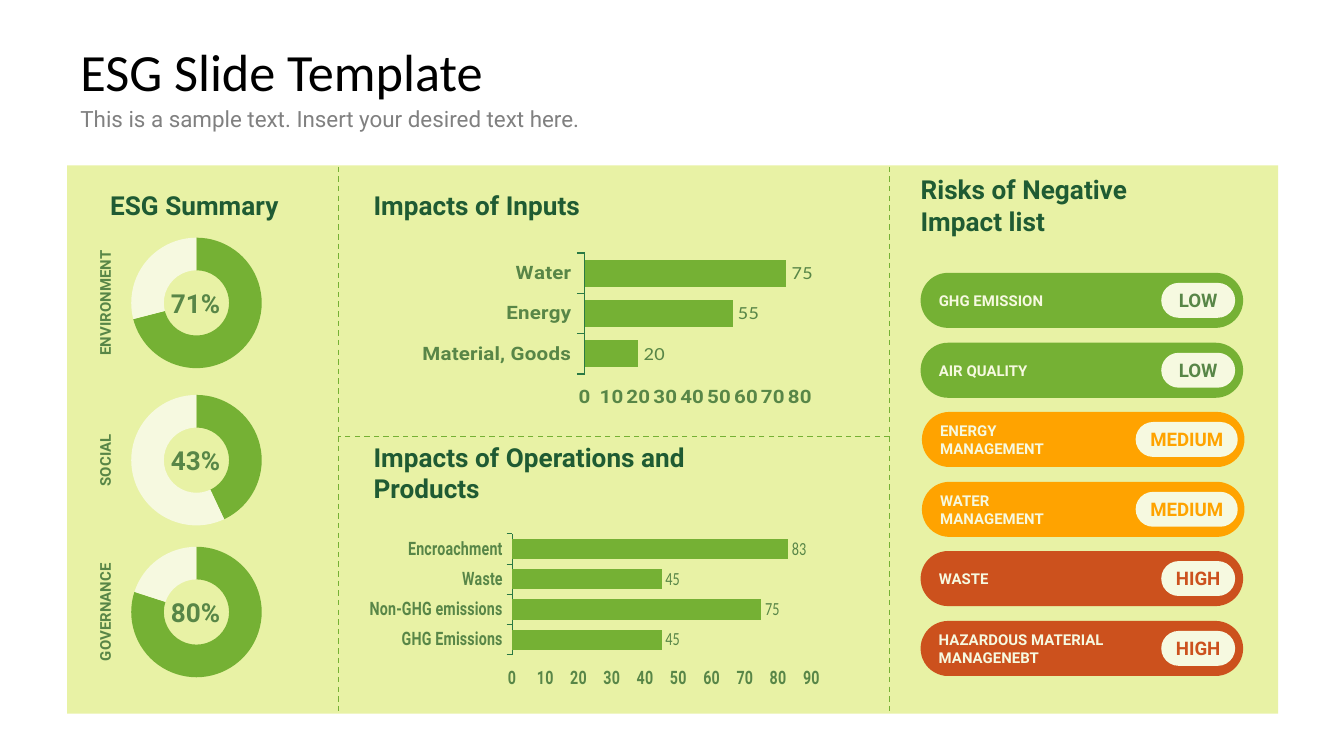
import dataclasses

import lxml.etree
import pptx
import pptx.chart.data
import pptx.dml.color
import pptx.enum.chart
import pptx.enum.dml
import pptx.enum.shapes
import pptx.enum.text
import pptx.oxml
import pptx.oxml.ns
import pptx.util

RGB = pptx.dml.color.RGBColor
SHAPE = pptx.enum.shapes.MSO_SHAPE
ALIGN = pptx.enum.text.PP_ALIGN
ANCHOR = pptx.enum.text.MSO_ANCHOR
KIND = pptx.enum.chart.XL_CHART_TYPE
TICK = pptx.enum.chart.XL_TICK_MARK
qn = pptx.oxml.ns.qn

BLACK = RGB(0x00, 0x00, 0x00)
GRAY = RGB(0x80, 0x80, 0x80)
LIME = RGB(0xE8, 0xF2, 0xA5)
CREAM = RGB(0xF6, 0xF9, 0xE0)
GREEN = RGB(0x75, 0xB1, 0x34)
FOREST = RGB(0x1F, 0x5B, 0x33)
MOSS = RGB(0x58, 0x86, 0x47)
PINE = RGB(0x2A, 0x79, 0x44)
AMBER = RGB(0xFF, 0xA3, 0x00)
RUST = RGB(0xCC, 0x51, 0x1D)

SCALE = 914400 // 200
Box = tuple[int, int, int, int]


@dataclasses.dataclass
class Level:
    name: str
    fill: RGB
    ink: RGB
    left: int
    pill: int
    width: int


@dataclasses.dataclass
class Risk:
    label: str
    level: Level
    width: int = 216


@dataclasses.dataclass
class Gauge:
    name: str
    value: int
    top: int


@dataclasses.dataclass
class Bars:
    box: Box
    names: list[str]
    values: list[int]
    peak: int
    plot: tuple[float, float, float, float]


LOW = Level("LOW", GREEN, MOSS, 1370, 1728, 110)
MEDIUM = Level("MEDIUM", AMBER, AMBER, 1372, 1690, 152)
HIGH = Level("HIGH", RUST, RUST, 1370, 1728, 110)

RISKS = [
    Risk("GHG EMISSION", LOW),
    Risk("AIR QUALITY", LOW),
    Risk("ENERGY MANAGEMENT", MEDIUM),
    Risk("WATER MANAGEMENT", MEDIUM),
    Risk("WASTE", HIGH),
    Risk("HAZARDOUS MATERIAL MANAGENEBT", HIGH, 266),
]
GAUGES = [
    Gauge("ENVIRONMENT", 71, 326),
    Gauge("SOCIAL", 43, 560),
    Gauge("GOVERNANCE", 80, 786),
]
HEADS = [
    ("ESG Summary", (164, 270, 306, 70)),
    ("Impacts of Inputs", (556, 270, 460, 70)),
    ("Risks of Negative Impact list", (1370, 270, 370, 70)),
    ("Impacts of Operations and Products", (556, 668, 628, 70)),
]
RULES = [(504, 248, 504, 1060), (1324, 248, 1324, 1060), (1324, 650, 504, 650)]
CHARTS = [
    Bars((564, 368, 670, 240), ["Material, Goods", "Energy", "Water"],
         [20, 55, 75], 80, (0.457, 0.039, 0.478, 0.836)),
    Bars((550, 786, 670, 240),
         ["GHG Emissions", "Non-GHG emissions", "Waste", "Encroachment"],
         [45, 75, 45, 83], 90, (0.042, 0.039, 0.958, 0.836)),
]


def px(*sizes: int) -> list[int]:
    return [pptx.util.Emu(size * SCALE) for size in sizes]


def style(font, size: float, color: RGB, face: str = "Roboto", bold: bool = False) -> None:
    font.size = pptx.util.Pt(size)
    font.name = face
    font.bold = bold
    font.color.rgb = color


def text(slide, words: str, box: Box, *, size: float, color: RGB, face: str = "Roboto",
         bold: bool = True, align=ALIGN.LEFT, anchor=ANCHOR.MIDDLE,
         inset: tuple[int, int] = (0, 0), turn: int = 0) -> None:
    shape = slide.shapes.add_textbox(*px(*box))
    shape.rotation = turn
    frame = shape.text_frame
    frame.word_wrap = True
    frame.vertical_anchor = anchor
    frame.margin_left = frame.margin_right = px(inset[0])[0]
    frame.margin_top = frame.margin_bottom = px(inset[1])[0]
    para = frame.paragraphs[0]
    para.alignment = align
    run = para.add_run()
    run.text = words
    style(run.font, size, color, face, bold)


def block(slide, kind, box: Box, color: RGB) -> None:
    shape = slide.shapes.add_shape(kind, *px(*box))
    shape.shadow.inherit = False
    shape.fill.solid()
    shape.fill.fore_color.rgb = color
    shape.line.fill.background()
    if kind == SHAPE.ROUNDED_RECTANGLE:
        shape.adjustments[0] = 0.5


def rule(slide, ends: Box) -> None:
    line = slide.shapes.add_connector(pptx.enum.shapes.MSO_CONNECTOR.STRAIGHT, *px(*ends))
    line.line.color.rgb = GREEN
    line.line.width = pptx.util.Pt(0.75)
    line.line.dash_style = pptx.enum.dml.MSO_LINE.DASH
    lxml.etree.SubElement(line._element.spPr, qn("a:effectLst"))


def graph(slide, kind, box: Box, names: list[str], values: list[int], plot):
    data = pptx.chart.data.CategoryChartData()
    data.categories = names
    data.add_series("Series 1", values)
    chart = slide.shapes.add_chart(kind, *px(*box), data).chart
    chart.has_title = False
    chart.has_legend = False
    style(chart.font, 10, BLACK, "Calibri")
    area = chart._chartSpace.chart.plotArea
    for old in area.findall(qn("c:layout")):
        area.remove(old)
    layout = lxml.etree.Element(qn("c:layout"))
    manual = lxml.etree.SubElement(layout, qn("c:manualLayout"))
    marks = ["inner", "edge", "edge", *map(str, plot)]
    for tag, mark in zip(("layoutTarget", "xMode", "yMode", "x", "y", "w", "h"), marks):
        lxml.etree.SubElement(manual, qn("c:" + tag)).set("val", mark)
    area.insert(0, layout)
    return chart


def gauge(slide, item: Gauge) -> None:
    chart = graph(slide, KIND.DOUGHNUT, (146, item.top, 290, 250), ["1", "2"],
                  [item.value, 100 - item.value], (0.17, 0.11, 0.67, 0.78))
    for hole in chart._chartSpace.iter(qn("c:holeSize")):
        hole.set("val", "60")
    for spot, color in enumerate((GREEN, CREAM)):
        fill = chart.plots[0].series[0].points[spot].format.fill
        fill.solid()
        fill.fore_color.rgb = color
    mid = item.top + 125
    text(slide, f"{item.value}%", (193, mid - 24, 196, 48), size=14, color=MOSS,
         align=ALIGN.CENTER, inset=(20, 0))
    text(slide, item.name, (64, mid - 35, 184, 70), size=8, color=MOSS,
         align=ALIGN.CENTER, turn=270)


def bars(slide, item: Bars) -> None:
    chart = graph(slide, KIND.BAR_CLUSTERED, item.box, item.names, item.values, item.plot)
    plot = chart.plots[0]
    plot.gap_width = 50
    plot.vary_by_categories = False
    fill = plot.series[0].format.fill
    fill.solid()
    fill.fore_color.rgb = GREEN
    plot.has_data_labels = True
    plot.data_labels.show_value = True
    plot.data_labels.position = pptx.enum.chart.XL_LABEL_POSITION.OUTSIDE_END
    style(plot.data_labels.font, 11, MOSS, "Calibri")
    for axis in (chart.category_axis, chart.value_axis):
        axis.has_major_gridlines = False
        axis.major_tick_mark = TICK.OUTSIDE
        axis.minor_tick_mark = TICK.NONE
        style(axis.tick_labels.font, 11, MOSS, bold=True)
    chart.category_axis.format.line.color.rgb = PINE
    chart.category_axis.format.line.width = pptx.util.Pt(0.75)
    scale = chart.value_axis
    scale.format.line.fill.background()
    scale.minimum_scale, scale.maximum_scale, scale.major_unit = 0, item.peak, 10


def risk(slide, item: Risk, top: int) -> None:
    level = item.level
    block(slide, SHAPE.ROUNDED_RECTANGLE, (level.left, top, 480, 82), level.fill)
    block(slide, SHAPE.ROUNDED_RECTANGLE, (level.pill, top + 15, level.width, 52), CREAM)
    text(slide, level.name, (level.pill + 4, top + 21, level.width - 8, 40), size=10,
         color=level.ink, align=ALIGN.CENTER)
    text(slide, item.label, (level.left + 27, top + 21, item.width, 40), size=8, color=CREAM)


def main() -> None:
    deck = pptx.Presentation()
    deck.slide_width, deck.slide_height = px(2000, 1125)
    slide = deck.slides.add_slide(deck.slide_layouts[6])
    block(slide, SHAPE.RECTANGLE, (100, 246, 1802, 816), LIME)
    text(slide, "This is a sample text. Insert your desired text here.", (100, 146, 1334, 84),
         size=12, color=GRAY, bold=False, anchor=ANCHOR.TOP, inset=(20, 10))
    text(slide, "ESG Slide Template", (100, 46, 1732, 118), size=28, color=BLACK,
         face="Calibri", bold=False, inset=(20, 10))
    for ends in RULES:
        rule(slide, ends)
    for words, box in HEADS:
        text(slide, words, box, size=14, color=FOREST)
    for row, item in enumerate(RISKS):
        risk(slide, item, 406 + round(103.6 * row))
    for item in GAUGES:
        gauge(slide, item)
    for item in CHARTS:
        bars(slide, item)
    deck.save("out.pptx")


if __name__ == "__main__":
    main()
